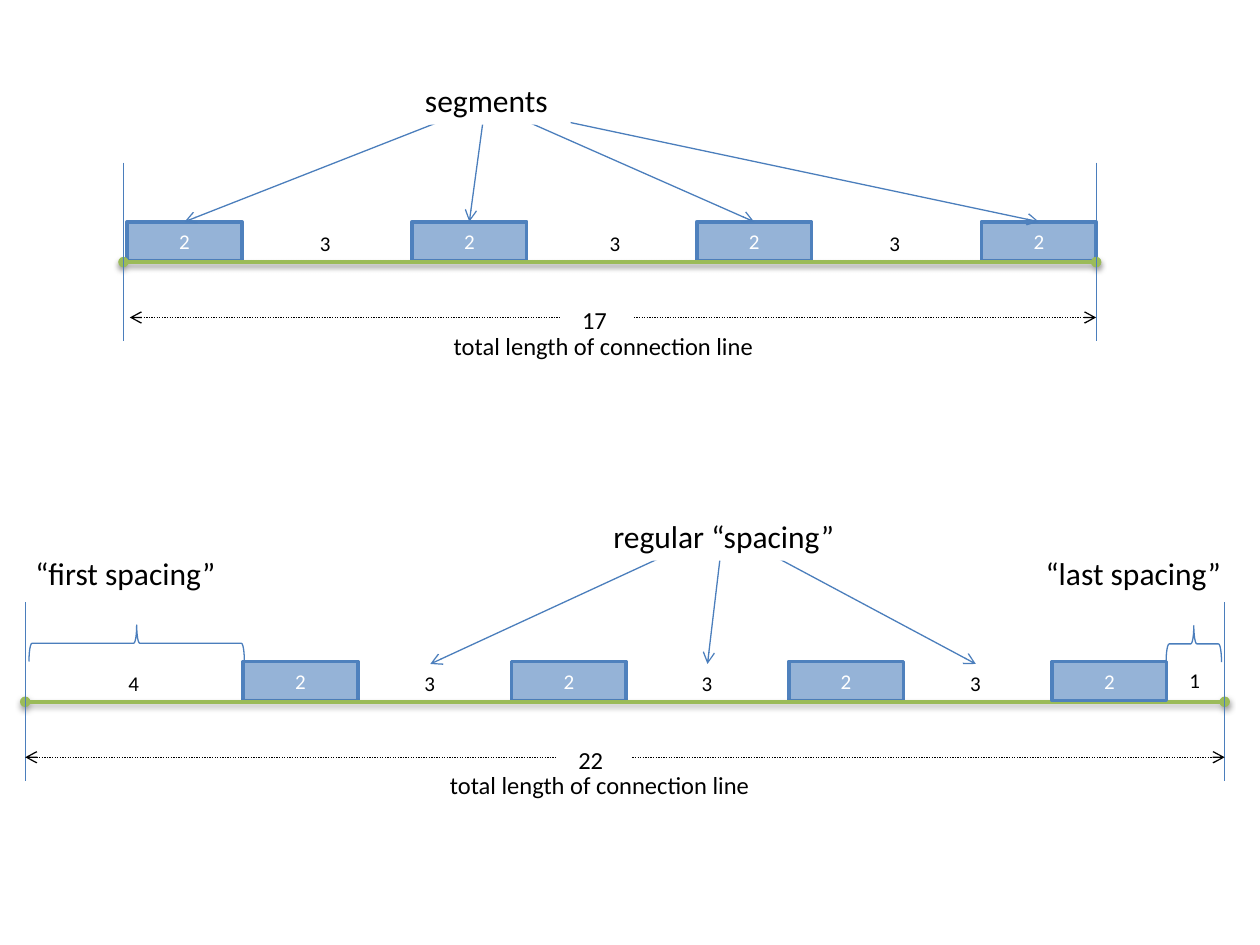
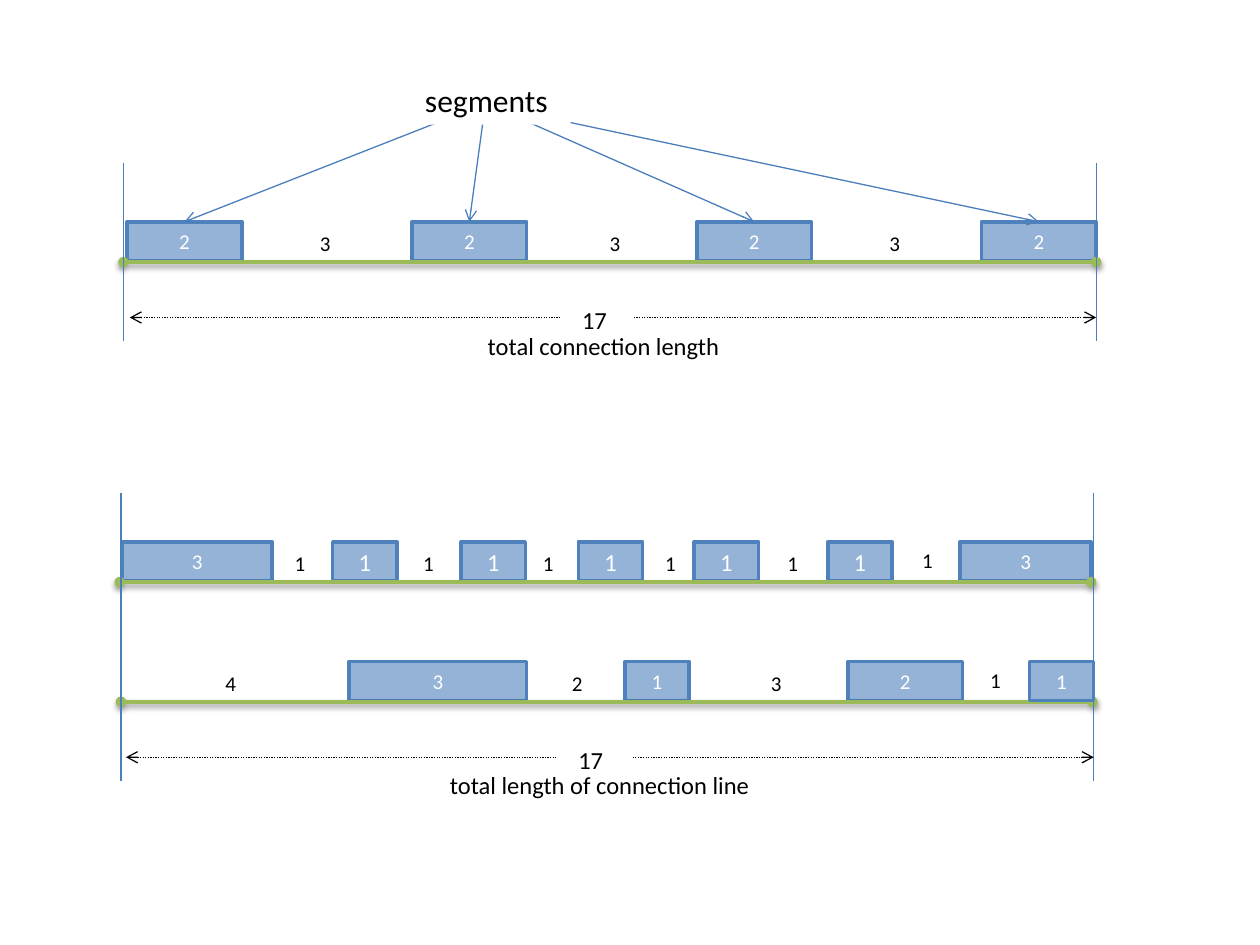
from lxml import etree
from pptx import Presentation
from pptx.dml.color import RGBColor
from pptx.enum.dml import MSO_LINE
from pptx.enum.shapes import MSO_CONNECTOR, MSO_SHAPE
from pptx.enum.text import MSO_ANCHOR, PP_ALIGN
from pptx.oxml.ns import qn
from pptx.util import Inches, Pt

RECT, BRACE = MSO_SHAPE.RECTANGLE, MSO_SHAPE.RIGHT_BRACE
STRAIGHT = MSO_CONNECTOR.STRAIGHT
DOTS = MSO_LINE.ROUND_DOT
WHITE, BLACK = "FFFFFF", "000000"
BLUE, EDGE, PALE, GREEN = "4B7EBC", "4F81BD", "95B3D7", "9BBB59"


def box(slide, text, at, size=12, color=BLACK, kind=RECT, fill=WHITE, edge=None, width=0.75):
    """Add a preset shape, or a plain text box when kind is None."""
    place = [Inches(n) for n in at]
    if kind is None:
        shape = slide.shapes.add_textbox(*place)
    else:
        shape = slide.shapes.add_shape(kind, *place)
        shape.shadow.inherit = False
        if fill:
            shape.fill.solid()
            shape.fill.fore_color.rgb = RGBColor.from_string(fill)
        else:
            shape.fill.background()
        if edge:
            shape.line.color.rgb = RGBColor.from_string(edge)
            shape.line.width = Pt(width)
        else:
            shape.line.fill.background()
    if text:
        frame = shape.text_frame
        frame.word_wrap = kind is not None
        par = frame.paragraphs[0]
        if kind is not None:
            frame.vertical_anchor = MSO_ANCHOR.MIDDLE
            par.alignment = PP_ALIGN.CENTER
        run = par.add_run()
        run.text = text
        run.font.name, run.font.size = "Calibri", Pt(size)
        run.font.color.rgb = RGBColor.from_string(color)
    return shape


def line(slide, start, end, color=BLUE, width=0.75, head=None, tail=None, dash=None, shade=False):
    link = slide.shapes.add_connector(STRAIGHT, *[Inches(n) for n in (*start, *end)])
    link.line.color.rgb = RGBColor.from_string(color)
    link.line.width = Pt(width)
    if dash:
        link.line.dash_style = dash
    props = link.element.spPr
    for tag, mark in (("a:headEnd", head), ("a:tailEnd", tail)):
        if mark:
            etree.SubElement(props.find(qn("a:ln")), qn(tag)).set("type", mark)
    effects = etree.SubElement(props, qn("a:effectLst"))
    if shade:
        cast = etree.SubElement(effects, qn("a:outerShdw"), blurRad="40000", dist="20000",
                                dir="5400000", rotWithShape="0")
        tint = etree.SubElement(cast, qn("a:srgbClr"), val=BLACK)
        etree.SubElement(tint, qn("a:alpha"), val="38000")
    return link


deck = Presentation()
deck.slide_width, deck.slide_height = Inches(10), Inches(7.5)
one, two = [deck.slides.add_slide(deck.slide_layouts[6]) for _ in range(2)]

# Blocks: left, width, text, size. Gaps: left, height above axis, text.
TOP = (2.08, 0.98, 8.7,
       [(1.01 + 2.26 * i, 0.91, "2", 12) for i in range(4)],
       [(x, 0.3, "3") for x in (2.44, 4.74, 6.96)], [])
SPACED = (5.57, 0.2, 9.72,
          [(x, 0.91, "2", 12) for x in (1.93, 4.06, 6.26)],
          [(3.27, 0.3, "3"), (5.47, 0.3, "3"), (7.6, 0.3, "3"),
           (0.92, 0.3, "4"), (9.34, 0.32, "1")],
          [(8.35, 0.91, "2", 12)])
DENSE = (4.62, 0.95, 8.66,
         [(0.97, 1.19, "3", 12), (7.62, 1.04, "3", 12)]
         + [(x, 0.51, "1", 14) for x in (2.64, 3.66, 4.59, 5.51, 6.57)],
         [(x, 0.3, "1") for x in (2.24, 3.26, 4.21, 5.18, 6.15)] + [(7.22, 0.32, "1")], [])
MIXED = (5.57, 0.96, 8.67,
         [(2.77, 1.41, "3", 12), (4.96, 0.51, "1", 12), (6.73, 0.91, "2", 12)],
         [(1.69, 0.3, "4"), (4.44, 0.3, "2"), (6.02, 0.3, "3"), (7.76, 0.32, "1")],
         [(8.17, 0.51, "1", 12)])

# Each row: blocks and gap numbers on a green axis; late blocks cover the axis
rows = []
for slide, (y, left, right, blocks, gaps, late) in (
        (one, TOP), (one, SPACED), (two, TOP), (two, DENSE), (two, MIXED)):
    look = dict(color=WHITE, fill=PALE, edge=EDGE, width=2)
    bars = [box(slide, text, (x, y - 0.32, w, 0.31), size, **look) for x, w, text, size in blocks]
    marks = [box(slide, text, (x, y - up, 0.29, 0.3), kind=None) for x, up, text in gaps]
    line(slide, (left, y), (right, y), GREEN, 2, "oval", "oval", shade=True)
    for x, w, text, size in late:
        box(slide, text, (x, y - 0.32, w, 0.31), size, **look)
    rows.append((bars, marks))

# Limits on both sides and the dotted total below
LONG = "total length of connection line"
for slide, left, right, top, foot, start, mid, total, note in (
        (one, 0.98, 8.7, 1.29, 2.71, 1.03, 4.74, "17 ", LONG),
        (one, 0.2, 9.72, 4.78, 6.2, 0.2, 4.71, "22 ", LONG),
        (two, 0.98, 8.7, 1.29, 2.71, 1.03, 4.74, "17 ", "total connection length"),
        (two, 0.96, 8.68, 3.91, 6.2, 1, 4.71, "17 ", LONG)):
    for x in (left, right):
        line(slide, (x, top), (x, foot))
    line(slide, (start, foot - 0.19), (right, foot - 0.19), BLACK,
         head="arrow", tail="arrow", dash=DOTS)
    box(slide, total, (mid - 0.29, foot - 0.26, 0.58, 0.18), 14, edge=WHITE)
    box(slide, note, (mid - 1.25, foot - 0.06, 2.6, 0.18), 14, edge=WHITE)

# Arrows fan out from a label to the tops of their targets
for slide, goals, label, at, y, starts in (
        (one, rows[0][0], "segments", (3.19, 0.6, 1.34, 0.39), 0.84, (3.81, 3.85, 3.9, 3.9)),
        (one, rows[1][1], "regular “spacing”", (4.56, 4.06, 2.37, 0.39), 4.22, (5.69, 5.74, 5.78)),
        (two, rows[2][0], "segments", (3.19, 0.6, 1.34, 0.39), 0.84, (3.81, 3.85, 3.9, 3.9))):
    for x, goal in zip(starts, goals):
        line(slide, (x, y), (x, y + 1), tail="arrow").end_connect(goal, 0)
    box(slide, label, at, 18)

# Braces over the first and last spacing
for label, x, w, brace in (("“first spacing”", -0.35, 2.69, (0.94, 4.25, 0.29, 1.71)),
                           ("“last spacing”", 8.11, 1.77, (9.33, 4.89, 0.29, 0.44))):
    box(one, label, (x, 4.35, w, 0.39), 18)
    box(one, "", brace, kind=BRACE, fill=None, edge=BLUE).rotation = 270

deck.save("out.pptx")
